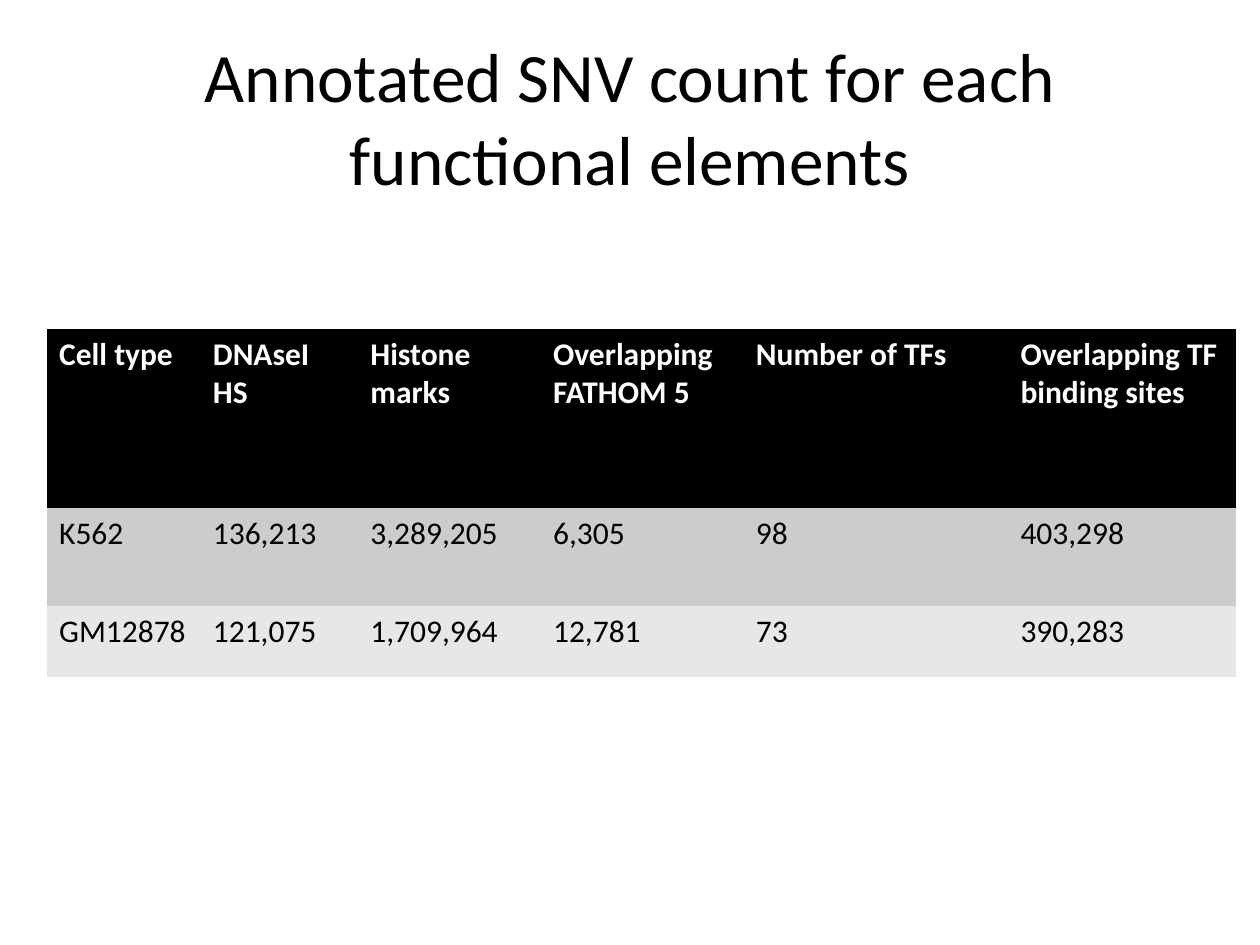
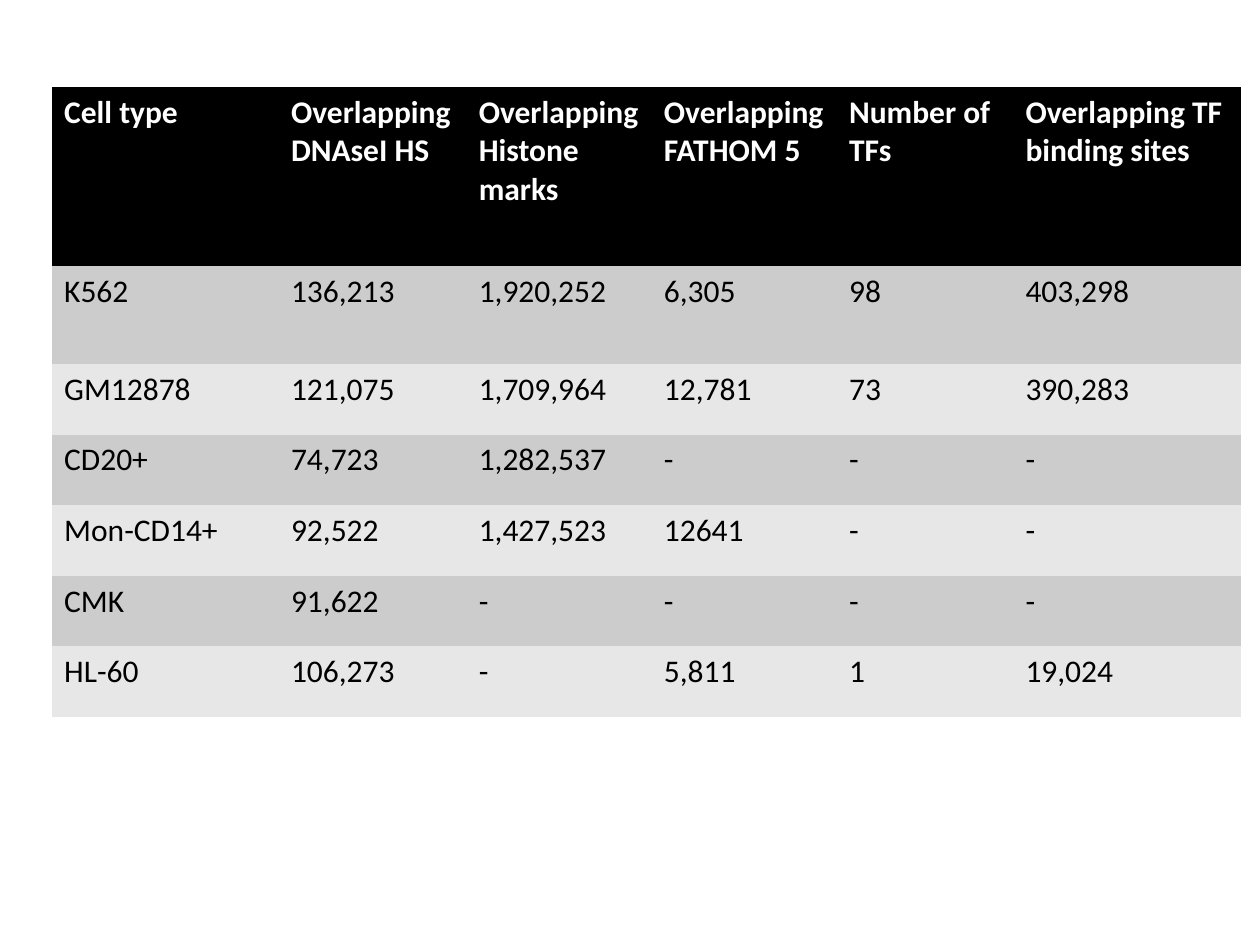
import pptx
import pptx.dml.color
import pptx.enum.text
import pptx.oxml.ns
import pptx.util

Pt = pptx.util.Pt
FONT = "Calibri"
COLORS = {
    "header": "000000",
    "header_text": "FFFFFF",
    "text": "000000",
    "dark_band": "CCCCCC",
    "light_band": "E7E7E7",
}
PLAIN_TABLE_STYLE = "{2D5ABB26-0587-4C30-8999-92F81FD0307C}"
TITLE_ONLY, BLANK = 5, 6

# Row heights shared by both tables
HEADER_HEIGHT, FIRST_ROW_HEIGHT, ROW_HEIGHT = 102.24, 56.16, 40.32

SUMMARY_WIDTHS = [87.84, 90, 104.4, 115.92, 151.2, 130.32]
SUMMARY_ROWS = [
    ["Cell type", "DNAseI HS", "Histone marks", "Overlapping\nFATHOM 5",
     "Number of TFs", "Overlapping TF binding sites"],
    ["K562", "136,213", "3,289,205", "6,305", "98", "403,298"],
    ["GM12878", "121,075", "1,709,964", "12,781", "73", "390,283"],
]

CELL_TYPE_WIDTHS = [129.6, 107.28, 105.84, 105.84, 100.8, 130.32]
CELL_TYPE_ROWS = [
    ["Cell type", "Overlapping DNAseI HS", "Overlapping Histone marks",
     "Overlapping\nFATHOM 5", "Number of TFs", "Overlapping TF binding sites"],
    ["K562", "136,213", "1,920,252", "6,305", "98", "403,298"],
    ["GM12878", "121,075", "1,709,964", "12,781", "73", "390,283"],
    ["CD20+", "74,723", "1,282,537", "-", "-", "-"],
    ["Mon-CD14+", "92,522", "1,427,523", "12641", "-", "-"],
    ["CMK", "91,622", "-", "-", "-", "-"],
    ["HL-60", "106,273", "-", "5,811", "1", "19,024"],
]


def rgb(name):
    return pptx.dml.color.RGBColor.from_string(COLORS[name])


def write_text(frame, text, size=18, color="text", bold=False, align=None):
    """Write each line of text as a formatted paragraph."""
    for index, line in enumerate(text.split("\n")):
        para = frame.add_paragraph() if index else frame.paragraphs[0]
        para.alignment = align
        span = para.add_run()
        span.text = line
        span.font.name = FONT
        span.font.size = Pt(size)
        span.font.bold = bold
        span.font.color.rgb = rgb(color)


def add_title(page, text):
    title = page.shapes.title
    title.left, title.top, title.width, title.height = map(Pt, (36, 21.6, 648, 90))
    frame = title.text_frame
    frame.auto_size = pptx.enum.text.MSO_AUTO_SIZE.NONE
    frame.vertical_anchor = pptx.enum.text.MSO_ANCHOR.MIDDLE
    write_text(frame, text, size=39.6, align=pptx.enum.text.PP_ALIGN.CENTER)


def add_count_table(page, left, top, widths, rows):
    """Add a table with a black header and alternating grey rows."""
    heights = [HEADER_HEIGHT, FIRST_ROW_HEIGHT] + [ROW_HEIGHT] * (len(rows) - 2)
    box = page.shapes.add_table(len(rows), len(widths), Pt(left), Pt(top),
                                Pt(sum(widths)), Pt(sum(heights)))
    for style in box.element.iter(pptx.oxml.ns.qn("a:tableStyleId")):
        style.text = PLAIN_TABLE_STYLE
    table = box.table
    for column, width in zip(table.columns, widths):
        column.width = Pt(width)
    for index, (row, height, texts) in enumerate(zip(table.rows, heights, rows)):
        row.height = Pt(height)
        is_header = index == 0
        band = "header" if is_header else "dark_band" if index % 2 else "light_band"
        for cell, text in zip(row.cells, texts):
            cell.fill.solid()
            cell.fill.fore_color.rgb = rgb(band)
            write_text(cell.text_frame, text, bold=is_header,
                       color="header_text" if is_header else "text")


def main():
    deck = pptx.Presentation()
    deck.slide_width, deck.slide_height = Pt(720), Pt(540)

    # Slide 1: counts for the two main cell types
    page = deck.slides.add_slide(deck.slide_layouts[TITLE_ONLY])
    add_title(page, "Annotated SNV count for each functional elements")
    add_count_table(page, 26.64, 187.92, SUMMARY_WIDTHS, SUMMARY_ROWS)

    # Slide 2: counts for all cell types
    page = deck.slides.add_slide(deck.slide_layouts[BLANK])
    add_count_table(page, 29.52, 49.68, CELL_TYPE_WIDTHS, CELL_TYPE_ROWS)

    deck.save("out.pptx")


if __name__ == "__main__":
    main()
